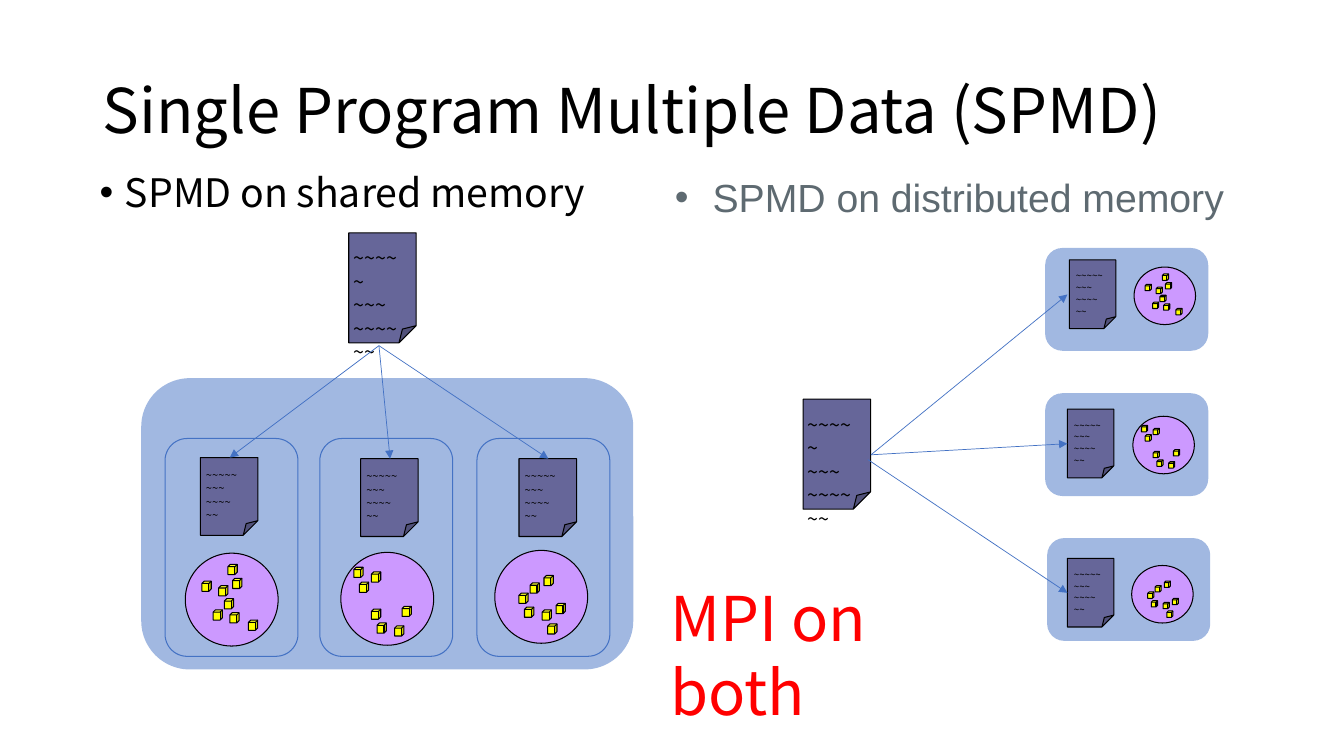
import dataclasses

import pptx
import pptx.dml.color
import pptx.enum.shapes
import pptx.enum.text
import pptx.oxml.ns
import pptx.util

Cm = pptx.util.Cm
Pt = pptx.util.Pt
SHAPE = pptx.enum.shapes.MSO_SHAPE
qn = pptx.oxml.ns.qn


@dataclasses.dataclass(frozen=True)
class Theme:
    black: str = "000000"
    grey: str = "5E6A71"
    red: str = "FF0000"
    blue: str = "4472C4"
    page: str = "666699"
    disc: str = "CC99FF"
    cube: str = "FFFF00"
    font: str = "Noto Sans CJK SC"
    alt_font: str = "Arial"
    title: int = 44
    body: int = 28
    program: int = 14
    lane: int = 8
    node: int = 7
    outline: float = 0.75
    arrow: float = 0.5


class Deck:
    def __init__(self, prs, theme):
        self.theme = theme
        self.s = prs.slides.add_slide(prs.slide_layouts[6])

    def color(self, value):
        return pptx.dml.color.RGBColor.from_string(value)

    def shape(self, kind, x, y, w, h, fill=None, line=None, alpha=None, group=None):
        shapes = (group or self.s).shapes
        sp = shapes.add_shape(kind, Cm(x), Cm(y), Cm(w), Cm(h))
        sp.shadow.inherit = False
        if fill:
            sp.fill.solid()
            sp.fill.fore_color.rgb = self.color(fill)
        else:
            sp.fill.background()
        if alpha:
            clr = sp._element.spPr.find(qn("a:solidFill")).find(qn("a:srgbClr"))
            clr.append(clr.makeelement(qn("a:alpha"), {"val": str(alpha * 1000)}))
        if line:
            sp.line.color.rgb = self.color(line)
            sp.line.width = Pt(self.theme.outline)
        else:
            sp.line.fill.background()
        return sp

    def text(self, x, y, w, h, lines, size, color=None, font=None, group=None):
        shapes = (group or self.s).shapes
        tb = shapes.add_textbox(Cm(x), Cm(y), Cm(w), Cm(h))
        tf = tb.text_frame
        tf.word_wrap = True
        for i, line in enumerate(lines):
            p = tf.add_paragraph() if i else tf.paragraphs[0]
            r = p.add_run()
            r.text = line
            r.font.size = Pt(size)
            r.font.name = font or self.theme.font
            r.font.color.rgb = self.color(color or self.theme.black)
        return tf

    def bullet(self, p, indent, before):
        p.space_before = Pt(before)
        pPr = p._p.get_or_add_pPr()
        pPr.set("marL", str(int(Cm(indent))))
        pPr.set("indent", str(-int(Cm(indent))))
        pPr.append(pPr.makeelement(qn("a:buFont"), {"typeface": "Arial"}))
        pPr.append(pPr.makeelement(qn("a:buChar"), {"char": "•"}))

    def program(self, x, y, w, h, size):
        t = self.theme
        group = self.s.shapes.add_group_shape()
        sp = self.shape(SHAPE.FOLDED_CORNER, x, y, w, h, t.page, t.black, group=group)
        av = sp._element.spPr.find(qn("a:prstGeom")).get_or_add_avLst()
        av.append(av.makeelement(qn("a:gd"), {"name": "adj", "fmla": "val 25500"}))
        tf = self.text(x - 0.075 * w, y + 0.075 * h, 1.03 * w, 0.84 * h,
                       ["~~~~~", "~~~", "~~~~", "~~"], size, group=group)
        tf.auto_size = pptx.enum.text.MSO_AUTO_SIZE.SHAPE_TO_FIT_TEXT

    def data(self, x, y, w, h, cubes):
        t = self.theme
        group = self.s.shapes.add_group_shape()
        self.shape(SHAPE.OVAL, x, y, w, h, t.disc, t.black, group=group)
        for cx, cy in cubes:
            self.shape(SHAPE.CUBE, x + cx * w, y + cy * h, 0.1 * w, 0.11 * h,
                       t.cube, t.black, group=group)

    def panel(self, x, y, w, h):
        self.shape(SHAPE.ROUNDED_RECTANGLE, x, y, w, h, self.theme.blue, alpha=50)

    def arrow(self, x1, y1, x2, y2):
        cn = self.s.shapes.add_connector(
            pptx.enum.shapes.MSO_CONNECTOR.STRAIGHT, Cm(x1), Cm(y1), Cm(x2), Cm(y2))
        cn.line.color.rgb = self.color(self.theme.blue)
        cn.line.width = Pt(self.theme.arrow)
        spPr = cn._element.spPr
        ln = spPr.find(qn("a:ln"))
        ln.append(ln.makeelement(qn("a:tailEnd"), {"type": "triangle"}))
        spPr.append(spPr.makeelement(qn("a:effectLst"), {}))


CUBES = [
    [(.18, .30), (.30, .61), (.36, .35), (.42, .49), (.48, .64), (.46, .12),
     (.51, .27), (.68, .72)],
    [(.14, .16), (.20, .32), (.33, .61), (.39, .76), (.33, .21), (.58, .79),
     (.66, .58)],
    [(.26, .46), (.32, .61), (.38, .35), (.51, .64), (.57, .79), (.53, .27),
     (.66, .57)],
]
LANES = [
    (4.16, (5.05, 11.53), (4.67, 13.94)),
    (8.06, (9.09, 11.56), (8.59, 13.92)),
    (12.02, (13.08, 11.56), (12.47, 13.87)),
]
NODES = [
    ((26.34, 6.25), (26.95, 6.55), (28.58, 6.73)),
    ((26.34, 9.91), (26.9, 10.31), (28.55, 10.49)),
    ((26.39, 13.56), (26.9, 14.07), (28.52, 14.25)),
]

prs = pptx.Presentation()
prs.slide_width, prs.slide_height = Cm(33.87), Cm(19.05)
theme = Theme()
deck = Deck(prs, theme)

tf = deck.text(2.34, 1.02, 29.21, 3.68, ["Single Program Multiple Data (SPMD)"],
               theme.title)
tf.vertical_anchor = pptx.enum.text.MSO_ANCHOR.MIDDLE
tf.paragraphs[0].line_spacing = 0.9

tf = deck.text(2.26, 4.24, 14.48, 12.78, ["SPMD on shared memory"], theme.body)
tf.paragraphs[0].line_spacing = 0.9
deck.bullet(tf.paragraphs[0], 0.64, 10)

tf = deck.text(16.76, 4.24, 14.48, 12.78, ["SPMD on distributed memory"],
               theme.body, theme.grey, theme.alt_font)
deck.bullet(tf.paragraphs[0], 0.95, 5.6)

deck.panel(3.56, 9.53, 12.4, 7.34)
deck.program(8.79, 5.87, 1.7, 2.77, theme.program)
for (lane_x, page, disc), cubes in zip(LANES, CUBES):
    deck.shape(SHAPE.ROUNDED_RECTANGLE, lane_x, 11.05, 3.35, 5.49, line=theme.blue)
    deck.program(*page, 1.45, 1.96, theme.lane)
    deck.data(*disc, 2.34, 2.34, cubes)
    deck.arrow(9.55, 8.71, page[0] + 0.74, page[1])

deck.program(20.24, 10.06, 1.7, 2.77, theme.program)
starts = [(21.95, 11.46), (21.95, 11.46), (21.87, 11.58)]
for (node, page, disc), cubes, start in zip(NODES, CUBES, starts):
    deck.panel(*node, 4.11, 2.59)
    deck.program(*page, 1.17, 1.73, theme.node)
    deck.data(*disc, 1.55, 1.45, cubes)
    deck.arrow(*start, 26.9, page[1] + 0.87)

deck.text(16.64, 14.48, 8.43, 2.13, ["MPI on both"], theme.title, theme.red)

prs.save("out.pptx")
